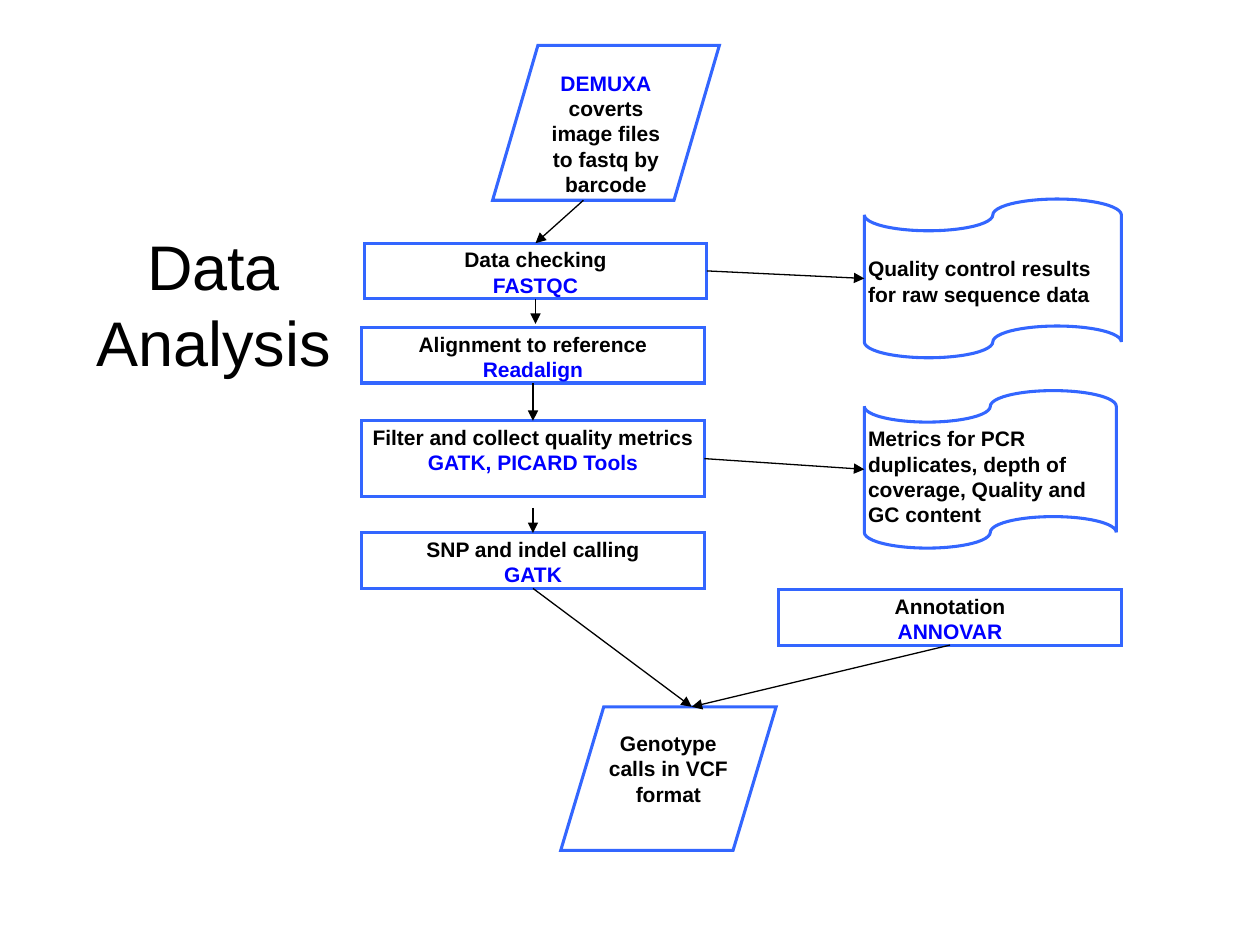
from typing import NamedTuple, Optional

from lxml import etree
from pptx import Presentation
from pptx import util as u
from pptx.dml.color import RGBColor
from pptx.enum import shapes, text
from pptx.oxml import ns

BLACK, WHITE, OUTLINE, TOOL = "000000", "FFFFFF", "3366FF", "0000FF"
TOP, LEFT, BOTTOM, RIGHT = range(4)
STEP = shapes.MSO_SHAPE.FLOWCHART_PROCESS
DATA = shapes.MSO_SHAPE.FLOWCHART_DATA
TAPE = shapes.MSO_SHAPE.FLOWCHART_PUNCHED_TAPE
STEP_WIDTH, STEP_HEIGHT = 2.72, 0.44
STEP_LEFT = 2.87


class Node(NamedTuple):
    key: str
    kind: shapes.MSO_SHAPE
    left: float
    top: float
    width: float
    height: float
    lines: list  # (text, colour) pairs, one per paragraph
    inset_top: float = 0.03


class End(NamedTuple):
    x: float
    y: float
    node: Optional[str] = None
    side: int = TOP


class Arrow(NamedTuple):
    start: End
    finish: End


def colour(value: str) -> RGBColor:
    return RGBColor.from_string(value)


def step(key: str, left: float, top: float, label: str, tool: str,
         height: float = STEP_HEIGHT) -> Node:
    return Node(key, STEP, left, top, STEP_WIDTH, height,
                [(label, BLACK), (tool, TOOL)])


def add_span(para, words: str, size: float, hue: str, bold: bool) -> None:
    span = para.add_run()
    span.text = words
    span.font.name = "Arial"
    span.font.size = u.Pt(size)
    span.font.bold = bold
    span.font.color.rgb = colour(hue)


def draw_node(page, node: Node):
    box = page.shapes.add_shape(node.kind, *map(u.Inches, node[2:6]))
    box.shadow.inherit = False
    box.fill.solid()
    box.fill.fore_color.rgb = colour(WHITE)
    box.line.color.rgb = colour(OUTLINE)
    box.line.width = u.Pt(1.75)
    # Sharp corners
    join = etree.SubElement(box.line._get_or_add_ln(), ns.qn("a:miter"))
    join.set("lim", "800000")
    frame = box.text_frame
    frame.word_wrap = True
    frame.vertical_anchor = text.MSO_ANCHOR.TOP
    frame.margin_left = u.Inches(0.03)
    frame.margin_top = u.Inches(node.inset_top)
    frame.margin_right = u.Inches(0 if node.kind == TAPE else 0.03)
    frame.margin_bottom = 0
    for index, (words, hue) in enumerate(node.lines):
        para = frame.add_paragraph() if index else frame.paragraphs[0]
        para.alignment = (text.PP_ALIGN.LEFT if node.kind == TAPE
                          else text.PP_ALIGN.CENTER)
        add_span(para, words, 12, hue, True)
    return box


def draw_arrow(page, arrow: Arrow, boxes: dict) -> None:
    start, finish = arrow
    line = page.shapes.add_connector(
        shapes.MSO_CONNECTOR.STRAIGHT,
        *map(u.Inches, (start.x, start.y, finish.x, finish.y)))
    if start.node:
        line.begin_connect(boxes[start.node], start.side)
    if finish.node:
        line.end_connect(boxes[finish.node], finish.side)
    line.line.color.rgb = colour(BLACK)
    line.line.width = u.Pt(0.75)
    # Arrowhead, and no theme shadow
    head = etree.SubElement(line.line._get_or_add_ln(), ns.qn("a:tailEnd"))
    head.set("type", "triangle")
    etree.SubElement(line._element.spPr, ns.qn("a:effectLst"))


def draw_title(page) -> None:
    title = page.shapes.title
    title.left, title.top, title.width, title.height = map(
        u.Inches, (0.2, 2.33, 2.99, 0.77))
    frame = title.text_frame
    frame.word_wrap = True
    frame.auto_size = text.MSO_AUTO_SIZE.NONE
    frame.vertical_anchor = text.MSO_ANCHOR.BOTTOM
    frame.margin_bottom = u.Inches(0.09)
    para = frame.paragraphs[0]
    para.alignment = text.PP_ALIGN.CENTER
    add_span(para, "Data Analysis", 36, BLACK, False)


NODES = [
    # Input and output data
    Node("input", DATA, 3.91, 0.36, 1.8, 1.23,
         [("DEMUXA", TOOL),
          ("coverts image files to fastq by barcode", BLACK)], 0.2),
    Node("output", DATA, 4.45, 5.61, 1.71, 1.14,
         [("Genotype calls in VCF format", BLACK)], 0.19),
    # Processing steps
    step("checking", 2.89, 1.93, "Data checking", "FASTQC"),
    step("alignment", STEP_LEFT, 2.6, "Alignment to reference", "Readalign"),
    step("filter", STEP_LEFT, 3.34, "Filter and collect quality metrics",
         "GATK, PICARD Tools", 0.6),
    step("calling", STEP_LEFT, 4.23, "SNP and indel calling", "GATK"),
    step("annotation", 6.18, 4.68, "Annotation", "ANNOVAR"),
    # Reports
    Node("quality", TAPE, 6.86, 1.58, 2.04, 1.26,
         [("Quality control results for raw sequence data", BLACK)], 0.2),
    Node("metrics", TAPE, 6.86, 3.1, 2, 1.25,
         [("Metrics for PCR duplicates, depth of coverage, "
           "Quality and GC content", BLACK)]),
]

ARROWS = [
    Arrow(End(4.63, 1.59), End(4.25, 1.93, "checking", TOP)),
    Arrow(End(4.25, 2.38, "checking", BOTTOM), End(4.25, 2.57)),
    Arrow(End(4.23, 3.04, "alignment", BOTTOM), End(4.23, 3.34, "filter", TOP)),
    Arrow(End(4.23, 4.03), End(4.23, 4.23, "calling", TOP)),
    Arrow(End(5.61, 2.15, "checking", RIGHT),
          End(6.86, 2.21, "quality", LEFT)),
    Arrow(End(5.59, 3.64, "filter", RIGHT),
          End(6.86, 3.73, "metrics", LEFT)),
    Arrow(End(4.23, 4.67, "calling", BOTTOM), End(5.49, 5.61)),
    Arrow(End(7.54, 5.12, "annotation", BOTTOM), End(5.49, 5.61)),
]


def main() -> None:
    deck = Presentation()
    deck.slide_width, deck.slide_height = u.Inches(10), u.Inches(7.5)
    page = deck.slides.add_slide(deck.slide_layouts[5])  # title only
    draw_title(page)
    boxes = {node.key: draw_node(page, node) for node in NODES}
    for arrow in ARROWS:
        draw_arrow(page, arrow, boxes)
    deck.save("out.pptx")


if __name__ == "__main__":
    main()
